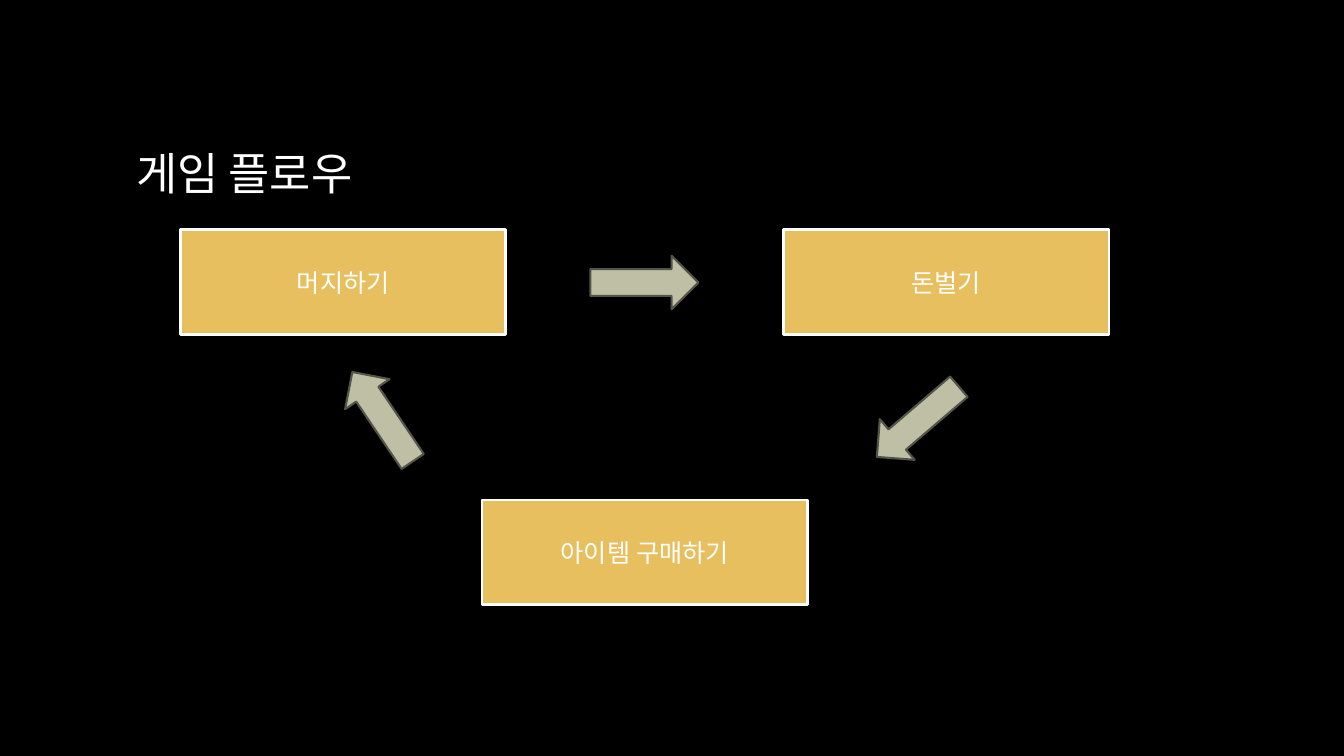
from dataclasses import dataclass

from pptx import Presentation
from pptx.dml.color import RGBColor as Rgb
from pptx.enum.shapes import MSO_SHAPE as Kind
from pptx.enum.text import MSO_ANCHOR as Anchor, PP_ALIGN as Align
from pptx.util import Cm, Pt

TITLE = "게임 플로우"
# Step text, column, row
STEPS = [
    ("머지하기", 0, 0),
    ("아이템 구매하기", 1, 1),
    ("돈벌기", 2, 0),
]
# Centre x, centre y in cm, and turn in degrees
ARROWS = [
    (16.24, 7.12, 0),
    (9.64, 10.5, 236),
    (23.13, 10.63, 139.4),
]

LEFT, TOP = 4.55, 5.79
STEP_X, STEP_Y = 7.6, 6.81
BOX_W, BOX_H = 8.2, 2.64
ARROW_W, ARROW_H = 2.72, 1.35


@dataclass(frozen=True)
class Theme:
    back: Rgb = Rgb.from_string("000000")
    text: Rgb = Rgb.from_string("FFFFFF")
    box: Rgb = Rgb.from_string("E7BF5F")
    arrow: Rgb = Rgb.from_string("BFBFA5")
    edge: Rgb = Rgb.from_string("545448")
    font: str = "TeX Gyre Adventor"
    head: float = 32
    body: float = 18
    frame: float = 2
    rim: float = 1.5


theme = Theme()


def write(shape, text, size, align):
    frame = shape.text_frame
    frame.word_wrap = True
    frame.vertical_anchor = Anchor.MIDDLE
    para = frame.paragraphs[0]
    para.alignment = align
    run = para.add_run()
    run.text = text
    run.font.name = theme.font
    run.font.size = Pt(size)
    run.font.color.rgb = theme.text


def draw(slide, kind, area, fill, line, width):
    shape = slide.shapes.add_shape(kind, *map(Cm, area))
    shape.shadow.inherit = False
    shape.fill.solid()
    shape.fill.fore_color.rgb = fill
    shape.line.color.rgb = line
    shape.line.width = Pt(width)
    return shape


def main():
    deck = Presentation()
    deck.slide_width, deck.slide_height = Cm(33.87), Cm(19.05)
    slide = deck.slides.add_slide(deck.slide_layouts[5])
    slide.background.fill.solid()
    slide.background.fill.fore_color.rgb = theme.back

    title = slide.shapes.title
    title.left, title.top = Cm(3.18), Cm(1.7)
    title.width, title.height = Cm(27.51), Cm(5.28)
    write(title, TITLE, theme.head, Align.LEFT)

    for text, col, row in STEPS:
        area = LEFT + col * STEP_X, TOP + row * STEP_Y, BOX_W, BOX_H
        box = draw(slide, Kind.RECTANGLE, area, theme.box, theme.text, theme.frame)
        write(box, text, theme.body, Align.CENTER)

    for x, y, turn in ARROWS:
        area = x - ARROW_W / 2, y - ARROW_H / 2, ARROW_W, ARROW_H
        arrow = draw(slide, Kind.RIGHT_ARROW, area, theme.arrow, theme.edge, theme.rim)
        arrow.rotation = turn

    deck.save("out.pptx")


if __name__ == "__main__":
    main()
